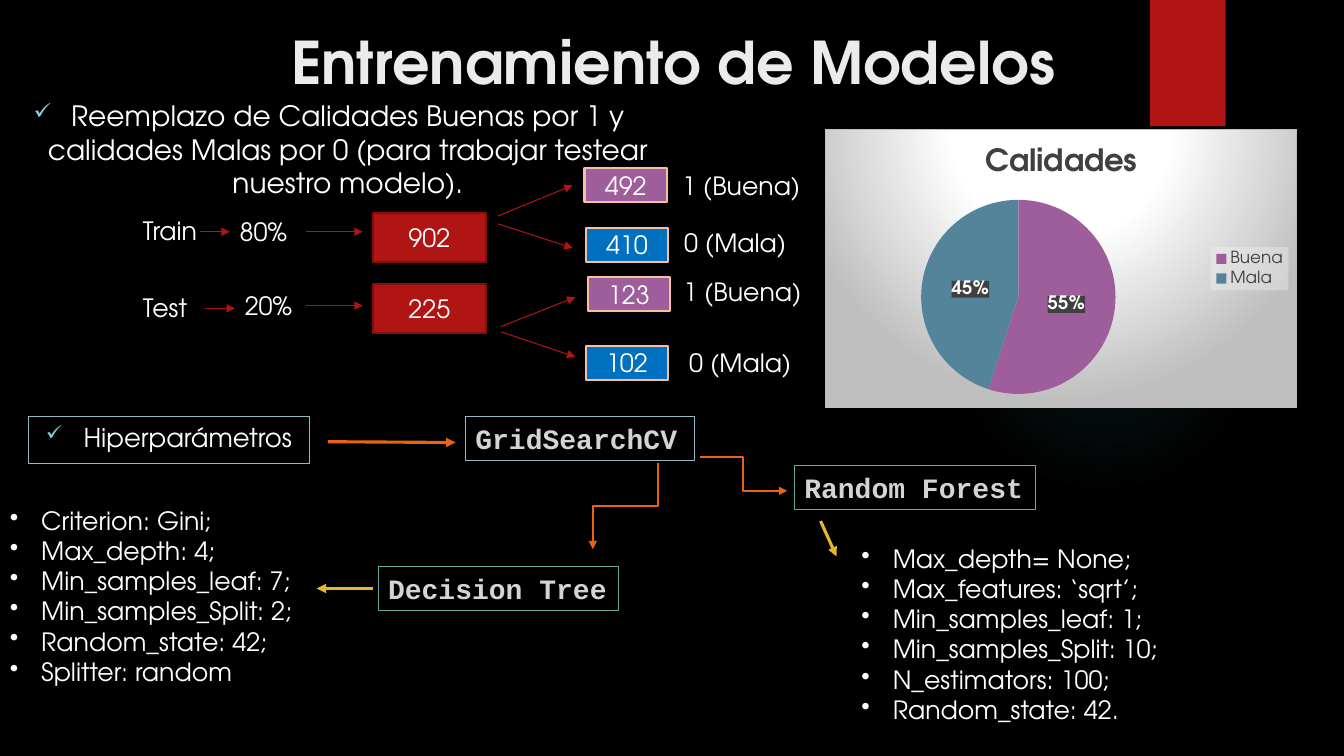
from lxml.etree import SubElement
from pptx import Presentation
from pptx.chart.data import CategoryChartData
from pptx.dml.color import RGBColor
from pptx.enum.chart import XL_CHART_TYPE, XL_LABEL_POSITION, XL_LEGEND_POSITION
from pptx.enum.shapes import MSO_CONNECTOR, MSO_SHAPE
from pptx.enum.text import MSO_ANCHOR, PP_ALIGN
from pptx.oxml import parse_xml
from pptx.oxml.ns import nsdecls, qn
from pptx.util import Cm, Pt

SANS, MONO = "TeX Gyre Adventor", "Courier New"
BLACK, WHITE = RGBColor(0, 0, 0), RGBColor(255, 255, 255)
TITLE_GREY, CODE_GREY = RGBColor(0xEB, 0xEB, 0xEB), RGBColor(0xD4, 0xD4, 0xD4)
DARK_GREY = RGBColor(0x40, 0x40, 0x40)
RED, DARK_RED = RGBColor(0xB0, 0x15, 0x13), RGBColor(0x82, 0x10, 0x0E)
PURPLE, BLUE = RGBColor(0x9E, 0x5E, 0x9B), RGBColor(0x00, 0x70, 0xC0)
PEACH, TEAL = RGBColor(0xF8, 0xC0, 0x9F), RGBColor(0x54, 0x84, 0x9A)
ORANGE, YELLOW = RGBColor(0xEA, 0x63, 0x12), RGBColor(0xE6, 0xB7, 0x29)
PALE_BLUE, GREEN = RGBColor(0x95, 0xB6, 0xC5), RGBColor(0x6A, 0xAC, 0x90)
CHECK_TEAL = RGBColor(0x8A, 0xD0, 0xD6)

# Content; every position and size is in centimetres
TITLE = "Entrenamiento de Modelos"
REPLACEMENT = ("Reemplazo de Calidades Buenas por 1 y calidades Malas por 0 "
               "(para trabajar testear nuestro modelo).")
SPLIT_LABELS = [("Train", 3.35, 5.31), ("80%", 5.79, 5.33),
                ("Test", 3.35, 7.24), ("20%", 5.92, 7.19)]
SPLIT_TOTALS = [("902", 9.4, 5.36), ("225", 9.4, 7.16)]
CLASS_COUNTS = [  # count, left, top, fill, label, label left, label top
    ("492", 14.73, 4.24, PURPLE, "1 (Buena)", 16.94, 4.17),
    ("410", 14.76, 5.74, BLUE, "0 (Mala)", 16.99, 5.61),
    ("123", 14.81, 6.99, PURPLE, "1 (Buena)", 16.97, 6.83),
    ("102", 14.76, 8.71, BLUE, "0 (Mala)", 17.12, 8.64),
]
SPLIT_ARROWS = [
    ((5.03, 5.84), (5.79, 5.84)), ((7.7, 5.84), (9.14, 5.84)),
    ((5.16, 7.77), (5.92, 7.77)), ((7.7, 7.7), (9.14, 7.7)),
    ((12.55, 5.44), (14.43, 4.67)), ((12.55, 5.64), (14.43, 6.25)),
    ((12.62, 8.23), (14.5, 7.49)), ((12.62, 8.36), (14.5, 8.99)),
]
MODEL_BOXES = [
    ("GridSearchCV", (11.73, 10.49, 5.77, 1.12), PALE_BLUE),
    ("Decision Tree", (9.53, 14.27, 6.07, 1.12), GREEN),
    ("Random Forest", (20.02, 11.73, 6.07, 1.12), GREEN),
]
MODEL_ARROWS = [
    ((8.26, 11.13), (11.48, 11.15), ORANGE),
    ((9.4, 14.83), (7.98, 14.83), YELLOW),
    ((20.68, 13.13), (21.08, 14.02), YELLOW),
]
PARAMETERS = [
    ((0, 12.6), ["Criterion: Gini;", "Max_depth: 4;", "Min_samples_leaf: 7;",
                 "Min_samples_Split: 2;", "Random_state: 42;", "Splitter: random"]),
    ((21.46, 13.56), ["Max_depth= None;", "Max_features: ‘sqrt’;", "Min_samples_leaf: 1;",
                      "Min_samples_Split: 10;", "N_estimators: 100;", "Random_state: 42."]),
]
QUALITIES = [("Buena", 55, PURPLE), ("Mala", 45, TEAL)]


def solid_xml(color, alpha):
    return (f'<a:solidFill {nsdecls("a")}><a:srgbClr val="{color}">'
            f'<a:alpha val="{alpha * 1000}"/></a:srgbClr></a:solidFill>')


def radial_xml(stops, focus):
    """Circular gradient; stops are (position, colour, opacity) in percent."""
    marks = "".join(f'<a:gs pos="{pos * 1000}"><a:srgbClr val="{color}">'
                    f'<a:alpha val="{alpha * 1000}"/></a:srgbClr></a:gs>'
                    for pos, color, alpha in stops)
    left, top, right, bottom = (side * 1000 for side in focus)
    return (f'<a:gradFill {nsdecls("a")} rotWithShape="1"><a:gsLst>{marks}</a:gsLst>'
            f'<a:path path="circle"><a:fillToRect l="{left}" t="{top}" r="{right}" '
            f'b="{bottom}"/></a:path></a:gradFill>')


def chart_part_fill(fill, line=""):
    return parse_xml(f'<c:spPr {nsdecls("c", "a")}>{fill}{line}</c:spPr>')


def write(frame, lines, size, color=WHITE, font=SANS, bold=False, align=PP_ALIGN.LEFT):
    frame.word_wrap = True
    for i, line in enumerate(lines):
        paragraph = frame.paragraphs[0] if i == 0 else frame.add_paragraph()
        paragraph.text, paragraph.alignment = line, align
        paragraph.font.size, paragraph.font.name = Pt(size), font
        paragraph.font.bold, paragraph.font.color.rgb = bold, color


def add_text(box, lines, size=18, border=None, **style):
    text = slide.shapes.add_textbox(*map(Cm, box))
    write(text.text_frame, lines, size, **style)
    if border is not None:
        text.line.color.rgb, text.line.width = border, Pt(0.75)
    return text.text_frame


def add_bullets(frame, mark, indent, color=None):
    """Hanging bullets; a coloured mark is drawn at 80 % of the text size."""
    for paragraph in frame.paragraphs:
        props = paragraph._p.get_or_add_pPr()
        props.set("marL", str(Cm(indent)))
        props.set("indent", str(-Cm(indent)))
        if color is not None:
            SubElement(SubElement(props, qn("a:buClr")), qn("a:srgbClr"), val=str(color))
            SubElement(props, qn("a:buSzPct"), val="80000")
        SubElement(props, qn("a:buChar"), char=mark)


def add_block(box, fill, border=None, text=None, preset=MSO_SHAPE.RECTANGLE):
    block = slide.shapes.add_shape(preset, *map(Cm, box))
    block.shadow.inherit = False
    if fill is not None:
        block.fill.solid()
        block.fill.fore_color.rgb = fill
    if border is None:
        block.line.fill.background()
    else:
        block.line.color.rgb, block.line.width = border, Pt(1.5)
    if text:
        write(block.text_frame, [text], 18, align=PP_ALIGN.CENTER)
        block.text_frame.vertical_anchor = MSO_ANCHOR.MIDDLE
    return block


def add_arrow(start, end, color, width, kind=MSO_CONNECTOR.STRAIGHT):
    arrow = slide.shapes.add_connector(kind, *map(Cm, start + end))
    arrow.line.color.rgb, arrow.line.width = color, Pt(width)
    SubElement(arrow.line._get_or_add_ln(), qn("a:tailEnd"), type="triangle")
    SubElement(arrow._element.spPr, qn("a:effectLst"))
    return arrow


def add_falling_elbow(start, end, color, width):
    """Elbow that leaves downwards: a sideways elbow turned by 90 degrees."""
    (x1, y1), (x2, y2) = start, end
    mid_x, mid_y = (x1 + x2) / 2, (y1 + y2) / 2
    half_w, half_h = (y2 - y1) / 2, (x1 - x2) / 2
    arrow = add_arrow((mid_x - half_w, mid_y - half_h), (mid_x + half_w, mid_y + half_h),
                      color, width, MSO_CONNECTOR.ELBOW)
    arrow._element.spPr.find(qn("a:xfrm")).set("rot", "5400000")


def add_quality_chart(box):
    data = CategoryChartData()
    data.categories = [name for name, _, _ in QUALITIES]
    data.add_series("Calidades", [share for _, share, _ in QUALITIES])
    chart = slide.shapes.add_chart(XL_CHART_TYPE.PIE, *map(Cm, box), data).chart
    chart.font.size, chart.font.name, chart.font.color.rgb = Pt(10), SANS, WHITE
    chart.has_title = True
    write(chart.chart_title.text_frame, ["Calidades"], 22, DARK_GREY, bold=True,
          align=PP_ALIGN.CENTER)
    chart.chart_title.include_in_layout = False

    chart.has_legend = True
    legend = chart.legend
    legend.position, legend.include_in_layout = XL_LEGEND_POSITION.RIGHT, False
    legend.font.size, legend.font.name, legend.font.color.rgb = Pt(12), SANS, DARK_GREY
    legend._element.find(qn("c:txPr")).addprevious(chart_part_fill(solid_xml("F2F2F2", 39)))

    plot = chart.plots[0]
    plot.vary_by_categories = True
    for i, (_, _, color) in enumerate(QUALITIES):
        slice_fill = plot.series[0].points[i].format.fill
        slice_fill.solid()
        slice_fill.fore_color.rgb = color
    labels = plot.series[0].data_labels
    labels.show_percentage, labels.show_value = True, False
    labels.number_format, labels.number_format_is_linked = "0%", False
    labels.position = XL_LABEL_POSITION.CENTER
    labels.font.size, labels.font.name = Pt(13.3), SANS
    labels.font.bold, labels.font.color.rgb = True, WHITE
    labels._element.find(qn("c:txPr")).addprevious(chart_part_fill(solid_xml(DARK_GREY, 90)))

    backdrop = radial_xml([(0, "FFFFFF", 100), (39, "FFFFFF", 100), (100, "BFBFBF", 100)],
                          (50, -80, 50, 180))
    border = f'<a:ln w="9525">{solid_xml("BFBFBF", 100)}</a:ln>'
    chart._chartSpace.find(qn("c:chart")).addnext(chart_part_fill(backdrop, border))


deck = Presentation()
deck.slide_width, deck.slide_height = Cm(33.87), Cm(19.05)
slide = deck.slides.add_slide(deck.slide_layouts[6])
slide.background.fill.solid()
slide.background.fill.fore_color.rgb = BLACK

glow = add_block((23.9, 4.65, 7.82, 7.82), None, preset=MSO_SHAPE.OVAL)
glow._element.spPr.find(qn("a:prstGeom")).addnext(parse_xml(radial_xml(
    [(0, "50B9C1", 7), (36, "50B9C1", 6), (69, "50B9C1", 0)], (50, 50, 50, 50))))
add_block((28.98, 0, 1.91, 3.18), RED)

add_text((3.89, 0.53, 26.14, 3.89), [TITLE], 42, color=TITLE_GREY, bold=True,
         align=PP_ALIGN.CENTER)
replacement = add_text((0, 2.36, 16.59, 3.12), [REPLACEMENT], 20, align=PP_ALIGN.CENTER)
add_bullets(replacement, "✓", 0.95, CHECK_TEAL)

for label, left, top in SPLIT_LABELS:
    add_text((left, top, 3.35, 1.02), [label])
for total, left, top in SPLIT_TOTALS:
    add_block((left, top, 2.84, 1.24), RED, DARK_RED, total)
for count, left, top, fill, label, label_left, label_top in CLASS_COUNTS:
    add_block((left, top, 2.08, 0.86), fill, PEACH, count)
    add_text((label_left, label_top, 3.56, 1.02), [label])
for start, end in SPLIT_ARROWS:
    add_arrow(start, end, RED, 0.75)
add_quality_chart((20.8, 3.25, 11.89, 7.04))

hyperparameters = add_text((0.71, 10.49, 7.09, 1.19), ["Hiperparámetros"], 18.5, PALE_BLUE,
                           align=PP_ALIGN.CENTER)
add_bullets(hyperparameters, "✓", 0.95, CHECK_TEAL)
for model, box, border in MODEL_BOXES:
    add_text(box, [model], 20, border, color=CODE_GREY, font=MONO, bold=True)
for start, end, color in MODEL_ARROWS:
    add_arrow(start, end, color, 2.25)
add_falling_elbow((16.59, 11.66), (14.94, 13.84), ORANGE, 1.5)
add_arrow((17.63, 11.51), (19.84, 12.37), ORANGE, 1.5, MSO_CONNECTOR.ELBOW)
for corner, settings in PARAMETERS:
    add_bullets(add_text(corner + (8.48, 4.88), settings), "•", 0.79)

deck.save("out.pptx")
